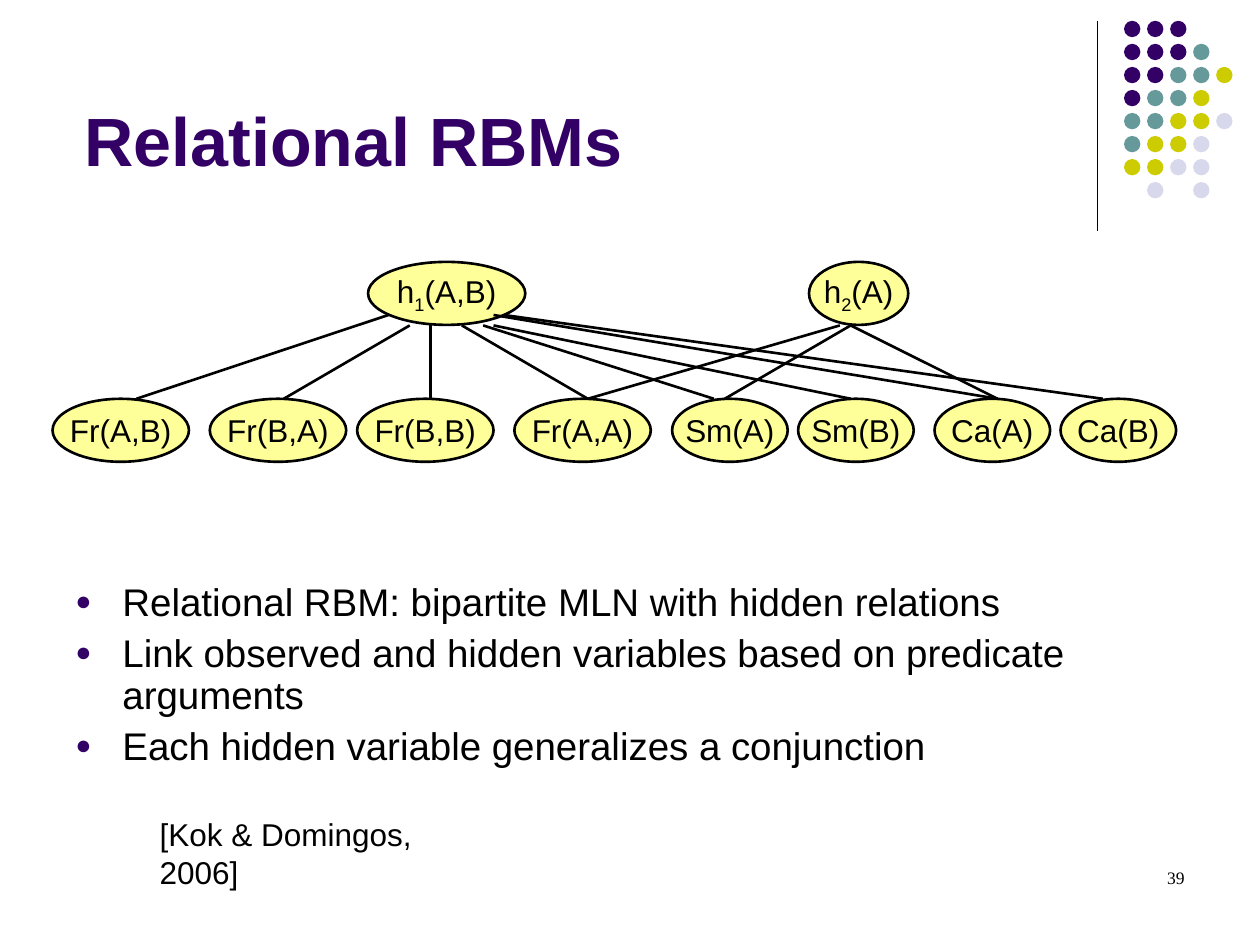
import pptx
import pptx.dml.color
import pptx.enum.shapes
import pptx.enum.text
import pptx.oxml.ns
import pptx.util
from lxml import etree

Cm, Pt = pptx.util.Cm, pptx.util.Pt
ANCHOR = pptx.enum.text.MSO_ANCHOR
ALIGN = pptx.enum.text.PP_ALIGN
OVAL = pptx.enum.shapes.MSO_SHAPE.OVAL

BLACK, PURPLE, NODE_YELLOW = "000000", "330066", "FFFF99"
DOT_COLORS = {"P": PURPLE, "T": "669999", "Y": "CCCC00", "L": "D8D8EC"}
DOT_ROWS = ["PPP", "PPPT", "PPTTY", "PTTY", "TTYYL", "TYYL", "YYLL", ".L.L"]
DOT_SIZE, DOT_PITCH = 0.33, 3.25 / 7

NODE_HEIGHT = 1.27
HIDDEN_TOP, OBSERVED_TOP = 5.28, 8.04
HIDDEN_NODES = [("1", "(A,B)", 7.42, 3.17), ("2", "(A)", 16.31, 2)]
OBSERVED_NODES = [
    ("Fr(A,B)", 1.06, 2.75), ("Fr(B,A)", 4.23, 2.75),
    ("Fr(B,B)", 7.2, 2.75), ("Fr(A,A)", 10.37, 2.75),
    ("Sm(A)", 13.55, 2.33), ("Sm(B)", 16.09, 2.33),
    ("Ca(A)", 18.84, 2.33), ("Ca(B)", 21.38, 2.33),
]
# Links start on the rim of a hidden node: at its bottom or a little higher.
RIM_BOTTOM, RIM_SIDE = 6.56, 6.35
LINKS = [  # observed x, hidden x, hidden y
    (2.75, 7.83, RIM_SIDE), (5.72, 8.26, RIM_BOTTOM),
    (8.68, 8.68, RIM_BOTTOM), (11.85, 9.31, RIM_BOTTOM),
    (14.39, 9.74, RIM_BOTTOM), (17.15, 9.95, RIM_BOTTOM),
    (20.11, 9.95, RIM_SIDE), (22.23, 10.16, RIM_SIDE),
    (14.61, 17.15, RIM_BOTTOM), (11.85, 16.93, RIM_BOTTOM),
    (20.11, 17.15, RIM_BOTTOM),
]
POINTS = [
    "Relational RBM: bipartite MLN with hidden relations",
    "Link observed and hidden variables based on predicate arguments",
    "Each hidden variable generalizes a conjunction",
]


def rgb(color):
    return pptx.dml.color.RGBColor.from_string(color)


def add_run(paragraph, text, size, color=BLACK, font="Arial", bold=False):
    run = paragraph.add_run()
    run.text = text
    run.font.size = Pt(size)
    run.font.name = font
    run.font.bold = bold
    run.font.color.rgb = rgb(color)
    return run


def add_text_box(slide, left, top, width, height, wrap=True):
    frame = slide.shapes.add_textbox(
        Cm(left), Cm(top), Cm(width), Cm(height)).text_frame
    frame.word_wrap = wrap
    return frame


def add_line(slide, x1, y1, x2, y2, width):
    line = slide.shapes.add_connector(
        pptx.enum.shapes.MSO_CONNECTOR.STRAIGHT, Cm(x1), Cm(y1), Cm(x2), Cm(y2))
    line.line.color.rgb = rgb(BLACK)
    line.line.width = Pt(width)
    etree.SubElement(line._element.spPr, pptx.oxml.ns.qn("a:effectLst"))


def add_ellipse(slide, left, top, width, height, color):
    ellipse = slide.shapes.add_shape(
        OVAL, Cm(left), Cm(top), Cm(width), Cm(height))
    ellipse.shadow.inherit = False
    ellipse.fill.solid()
    ellipse.fill.fore_color.rgb = rgb(color)
    ellipse.line.fill.background()
    return ellipse


def add_node(slide, left, top, width):
    """Add an outlined node and return its empty, centred paragraph."""
    node = add_ellipse(slide, left, top, width, NODE_HEIGHT, NODE_YELLOW)
    node.line.color.rgb = rgb(BLACK)
    node.line.width = Pt(1.5)
    frame = node.text_frame
    frame.word_wrap = False
    frame.vertical_anchor = ANCHOR.MIDDLE
    label = frame.paragraphs[0]
    label.alignment = ALIGN.CENTER
    return label


def add_dots(slide):
    for row, codes in enumerate(DOT_ROWS):
        for column, code in enumerate(codes):
            if code in DOT_COLORS:
                add_ellipse(slide, 22.66 + column * DOT_PITCH,
                            0.42 + row * DOT_PITCH,
                            DOT_SIZE, DOT_SIZE, DOT_COLORS[code])


def set_title(slide, text):
    title = slide.shapes.title
    title.left, title.top = Cm(1.45), Cm(0.51)
    title.width, title.height = Cm(20.6), Cm(3.25)
    title.text_frame.vertical_anchor = ANCHOR.BOTTOM
    heading = title.text_frame.paragraphs[0]
    heading.alignment = ALIGN.LEFT
    add_run(heading, text, 39, PURPLE, bold=True)


def set_bullet(paragraph):
    properties = paragraph._p.get_or_add_pPr()
    properties.set("marL", str(Cm(0.95)))
    properties.set("indent", str(-Cm(0.95)))
    qn = pptx.oxml.ns.qn
    color = etree.SubElement(properties, qn("a:buClr"))
    etree.SubElement(color, qn("a:srgbClr"), val=PURPLE)
    etree.SubElement(properties, qn("a:buSzPct"), val="70000")
    etree.SubElement(properties, qn("a:buFont"), typeface="Arial")
    etree.SubElement(properties, qn("a:buChar"), char="●")


def add_points(slide):
    frame = add_text_box(slide, 1.27, 11.63, 22.86, 5.38)
    for index, text in enumerate(POINTS):
        point = frame.add_paragraph() if index else frame.paragraphs[0]
        set_bullet(point)
        point.line_spacing = 0.9
        if index:
            point.space_before = Pt(5.5)
        add_run(point, text, 22)


def add_network(slide):
    for index, arguments, left, width in HIDDEN_NODES:
        label = add_node(slide, left, HIDDEN_TOP, width)
        add_run(label, "h", 18)
        subscript = add_run(label, index, 18)
        subscript._r.get_or_add_rPr().set("baseline", "-25000")
        add_run(label, arguments, 18)
    for name, left, width in OBSERVED_NODES:
        add_run(add_node(slide, left, OBSERVED_TOP, width), name, 18)
    for observed_x, hidden_x, hidden_y in LINKS:
        add_line(slide, observed_x, OBSERVED_TOP, hidden_x, hidden_y, 1.5)


def main():
    deck = pptx.Presentation()
    deck.slide_width, deck.slide_height = Cm(25.4), Cm(19.05)
    slide = deck.slides.add_slide(deck.slide_layouts[5])

    add_line(slide, 22.12, 0.43, 22.12, 4.65, 0.75)
    add_dots(slide)
    set_title(slide, "Relational RBMs")
    add_points(slide)
    add_network(slide)

    citation = add_text_box(slide, 2.97, 16.31, 7.34, 1.02, wrap=False)
    add_run(citation.paragraphs[0], "[Kok & Domingos, 2006]", 18)

    page_number = add_text_box(slide, 18.2, 17.36, 5.93, 1.27).paragraphs[0]
    page_number.alignment = ALIGN.RIGHT
    add_run(page_number, "39", 10, font="Times New Roman")

    deck.save("out.pptx")


if __name__ == "__main__":
    main()
